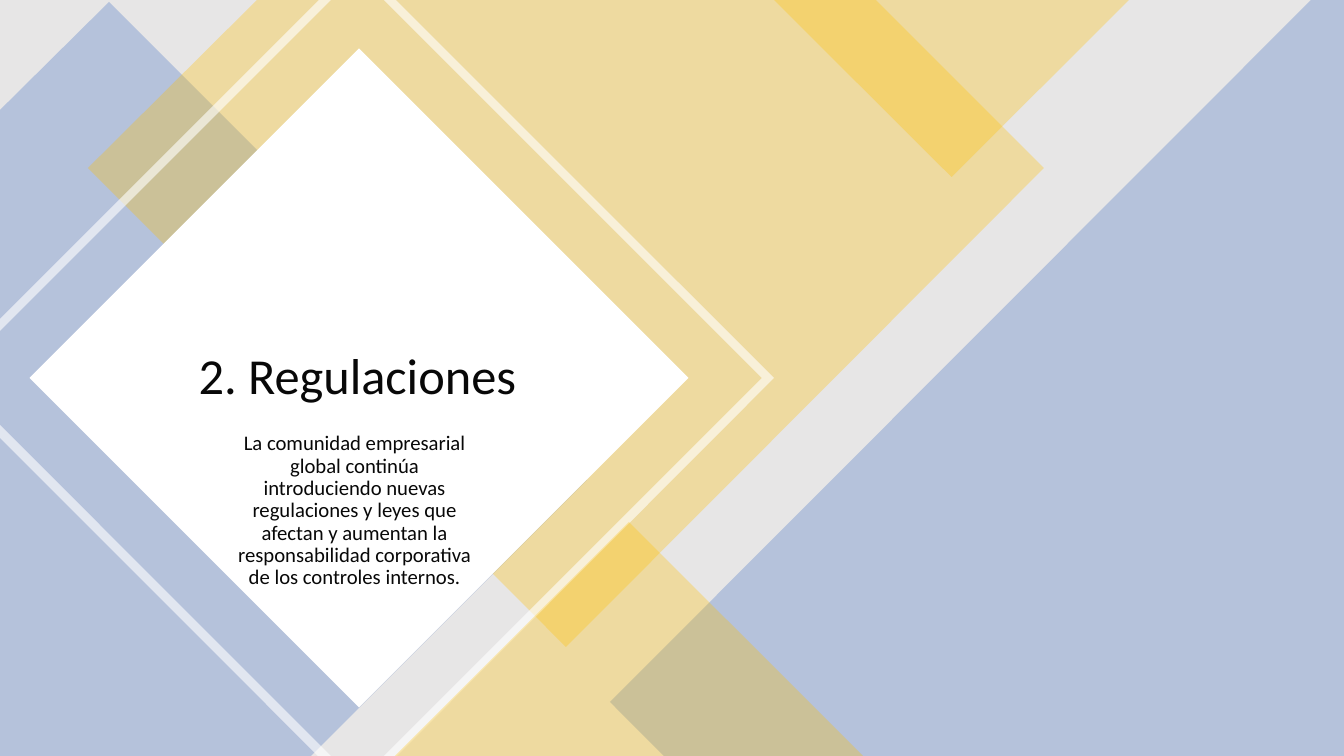
import pptx
import pptx.util
import pptx.dml.color
import pptx.enum.shapes
import pptx.enum.text
import pptx.oxml.ns
import lxml.etree

PX = 914400 / 100.8
W, H = 1344, 756
COLORS = {"grey": "E7E6E6", "blue": "4472C4", "gold": "FFC000", "white": "FFFFFF", "ink": "080808"}
SHAPE = pptx.enum.shapes.MSO_SHAPE
ANCHOR = pptx.enum.text.MSO_ANCHOR


def px(n):
    return pptx.util.Emu(round(n * PX))


def rgb(name):
    return pptx.dml.color.RGBColor.from_string(COLORS[name])


class Deck:
    """Hold the style and the current slide, and draw each kind of element."""

    def __init__(self):
        self.prs = pptx.Presentation()
        self.prs.slide_width, self.prs.slide_height = px(W), px(H)
        self.s = self.prs.slides.add_slide(self.prs.slide_layouts[6])
        self.font = {"name": "Calibri"}

    def paint(self, sp, color, alpha):
        sp.shadow.inherit = False
        sp.line.fill.background()
        sp.fill.solid()
        sp.fill.fore_color.rgb = rgb(color)
        if alpha < 100:
            clr = sp.fill._xPr.find(".//" + pptx.oxml.ns.qn("a:srgbClr"))
            lxml.etree.SubElement(clr, pptx.oxml.ns.qn("a:alpha"), val=str(alpha * 1000))

    def shape(self, kind, box, color, alpha=100, rotation=0):
        sp = self.s.shapes.add_shape(kind, *map(px, box))
        sp.rotation = rotation
        self.paint(sp, color, alpha)

    def outline(self, contours, color, alpha):
        fb = self.s.shapes.build_freeform(*contours[0][0], scale=PX)
        for i, (start, *rest) in enumerate(contours):
            if i:
                fb.move_to(*start)
            fb.add_line_segments(rest, close=True)
        self.paint(fb.convert_to_shape(), color, alpha)

    def text(self, box, text, size, anchor):
        tf = self.s.shapes.add_textbox(*map(px, box)).text_frame
        p = tf.paragraphs[0]
        r = p.add_run()
        r.text = text
        formats = (
            (tf, {"word_wrap": True, "vertical_anchor": anchor}),
            (p, {"alignment": pptx.enum.text.PP_ALIGN.CENTER, "line_spacing": 0.9}),
            (r.font, {**self.font, "size": pptx.util.Pt(size)}),
        )
        for obj, values in formats:
            for key, value in values.items():
                setattr(obj, key, value)
        r.font.color.rgb = rgb("ink")


def main():
    d = Deck()
    d.shape(SHAPE.RECTANGLE, (0, 0, W, H), "grey")

    bands = (
        ("blue", [(109, 2), (587, 480), (311, H), (0, H), (0, 110)]),
        ("gold", [(257, 0), (876, 0), (1044, 168), (566, 647), (88, 168)]),
        ("blue", [(1311, 0), (W, 0), (W, H), (664, H), (610, 702)]),
    )
    for color, points in bands:
        d.outline([points], color, 30)

    d.shape(SHAPE.RECTANGLE, (126, 145, 466, 466), "white", rotation=45)
    frame = [
        [(0, 425), (331, H), (318, H), (0, 438)],
        [(384, 0), (396, 0), (774, 378), (397, H), (384, H), (762, 378)],
        [(319, 0), (331, 0), (0, 331), (0, 319)],
    ]
    d.outline(frame, "white", 60)

    d.text((123, 270, 469, 216), "2. Regulaciones", 36, ANCHOR.MIDDLE)
    d.text(
        (220, 428, 269, 174),
        "La comunidad empresarial global continúa introduciendo nuevas regulaciones y leyes "
        "que afectan y aumentan la responsabilidad corporativa de los controles internos.",
        14.8,
        ANCHOR.TOP,
    )

    d.shape(SHAPE.ISOSCELES_TRIANGLE, (774, 0, 355, 177), "gold", 30, 180)
    d.shape(SHAPE.ISOSCELES_TRIANGLE, (395, 522, 468, 234), "gold", 30)
    d.prs.save("out.pptx")


if __name__ == "__main__":
    main()
